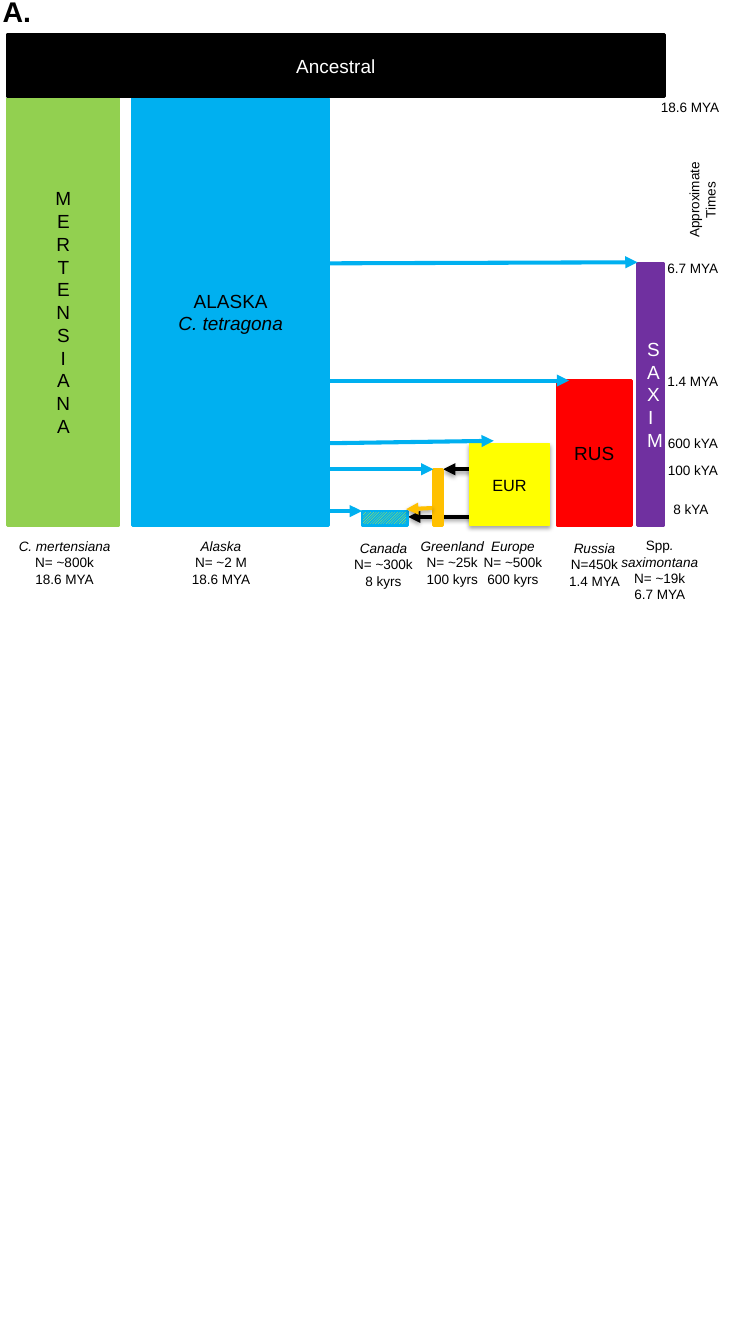
from lxml import etree
from pptx import Presentation
from pptx.dml.color import RGBColor
from pptx.enum import dml, shapes, text
from pptx.oxml.ns import qn
from pptx.util import Cm, Pt

BLACK = RGBColor(0, 0, 0)
WHITE = RGBColor(255, 255, 255)
BLUE = RGBColor(0, 176, 240)
GREEN = RGBColor(146, 208, 80)
PURPLE = RGBColor(112, 48, 160)
RED = RGBColor(255, 0, 0)
YELLOW = RGBColor(255, 255, 0)
GOLD = RGBColor(255, 192, 0)

# In texts, "*" switches italics on and off; lengths are in cm.
BASE = 13.68  # common foot of all population bars

# lines, left, top, width, colour, format
BARS = [
    (["ALASKA", "*C. tetragona"], 3.45, 2.57, 5.11, BLUE, {}),
    (["SAXIM"], 16.59, 6.86, 0.69, PURPLE, {"ink": WHITE}),
    (list("MERTENSIANA"), 0.2, 2.57, 2.9, GREEN, {}),
    (["RUS"], 14.5, 9.91, 1.93, RED, {}),
    (["EUR"], 12.22, 11.56, 2.08, YELLOW,
     {"size": 12, "edge": 0.75, "shade": True}),
    (["Ancestral"], 0.18, 0.89, 17.12, BLACK, {"ink": WHITE, "foot": 2.52}),
    ([], 9.42, 13.31, 1.19, BLUE, {"hatch": YELLOW}),
    ([], 11.28, 12.22, 0.23, GOLD, {}),
]

# start x, start y, end x, end y, colour, shadow
BACK = [
    (13.97, 12.22, 11.53, 12.22, BLACK, True),
    (13.06, 13.46, 10.62, 13.46, BLACK, True),
]
FRONT = [
    (7.82, 6.86, 16.59, 6.83, BLUE, False),
    (7.98, 9.91, 14.81, 9.91, BLUE, False),
    (5.99, 11.58, 12.85, 11.48, BLUE, False),
    (6.17, 12.22, 11.28, 12.22, BLUE, False),
    (4.29, 13.31, 9.42, 13.31, BLUE, False),
    (11.25, 13.23, 10.57, 13.26, GOLD, True),
]

# lines, centre, top, width, height
NOTES = [
    (["*C. mertensiana", "N= ~800k", "18.6 MYA"], 1.68, 13.89, 2.9, 2.31),
    (["*Alaska", "N= ~2 M", "18.6 MYA"], 5.75, 13.89, 3.89, 2.31),
    (["*Canada", "N= ~300k", "8 kyrs"], 9.98, 13.94, 2.03, 3.96),
    (["*Greenland", "N= ~25k", "100 kyrs"], 11.77, 13.89, 2.31, 3.96),
    (["*Europe", "N= ~500k", "600 kyrs"], 13.35, 13.89, 3.89, 2.31),
    (["*Russia", "N=450k", "1.4 MYA"], 15.47, 13.94, 2.44, 2.31),
    (["Spp*.", "*saximontana", "N= ~19k", "6.7 MYA"],
     17.17, 13.87, 3.15, 3.99),
]

# time, centre, top
TIMES = [
    ("18.6 MYA", 17.96, 2.44), ("6.7 MYA", 18.03, 6.65),
    ("1.4 MYA", 18.03, 9.6), ("600 kYA", 18.03, 11.2),
    ("100 kYA", 18.03, 11.91), ("8 kYA", 17.98, 12.93),
]


def write(frame, lines, size, ink=BLACK, bold=False,
          align=text.PP_ALIGN.CENTER):
    """Fill a text frame, one paragraph per line."""
    frame.word_wrap = True
    for row, line in enumerate(lines):
        para = frame.add_paragraph() if row else frame.paragraphs[0]
        para.alignment = align
        for turn, part in enumerate(line.split("*")):
            if part:
                run = para.add_run()
                run.text = part
                run.font.color.rgb = ink
                style = {"name": "Arial", "size": Pt(size),
                         "bold": bold, "italic": turn % 2 == 1}
                for key, value in style.items():
                    setattr(run.font, key, value)


def label(lines, left, top, width, height, size=10, **style):
    """Add a text box and return it."""
    box = slide.shapes.add_textbox(*map(Cm, (left, top, width, height)))
    write(box.text_frame, lines, size, **style)
    box.text_frame.auto_size = text.MSO_AUTO_SIZE.SHAPE_TO_FIT_TEXT
    return box


def effect(item, shade):
    """Replace the theme shadow by a soft one, or by none."""
    fx = etree.SubElement(item._element.spPr, qn("a:effectLst"))
    if shade:
        drop = etree.SubElement(fx, qn("a:outerShdw"), blurRad="40000",
                                dist="23000", dir="5400000", rotWithShape="0")
        tint = etree.SubElement(drop, qn("a:srgbClr"), val="000000")
        etree.SubElement(tint, qn("a:alpha"), val="35000")


def bar(lines, left, top, width, color, form):
    """Add a bar that reaches from its top down to its foot."""
    high = form.get("foot", BASE) - top
    item = slide.shapes.add_shape(shapes.MSO_SHAPE.RECTANGLE,
                                  *map(Cm, (left, top, width, high)))
    fill = item.fill
    if "hatch" in form:
        fill.patterned()
        fill.pattern = dml.MSO_PATTERN.DARK_UPWARD_DIAGONAL
        fill.fore_color.rgb = form["hatch"]
        fill.back_color.rgb = color
    else:
        fill.solid()
        fill.fore_color.rgb = color
    item.line.color.rgb = color
    item.line.width = Pt(form.get("edge", 2))
    effect(item, form.get("shade", False))
    item.text_frame.vertical_anchor = text.MSO_ANCHOR.MIDDLE
    write(item.text_frame, lines, form.get("size", 14),
          form.get("ink", BLACK))


def arrow(x1, y1, x2, y2, color, shade):
    """Add a migration arrow with its head at the end."""
    item = slide.shapes.add_connector(shapes.MSO_CONNECTOR.STRAIGHT,
                                      *map(Cm, (x1, y1, x2, y2)))
    item.line.color.rgb = color
    item.line.width = Pt(3)
    etree.SubElement(item.line._get_or_add_ln(), qn("a:tailEnd"),
                     type="triangle")
    effect(item, shade)


deck = Presentation()
deck.slide_width, deck.slide_height = Cm(19.05), Cm(35)
slide = deck.slides.add_slide(deck.slide_layouts[6])

for row in BACK:
    arrow(*row)
for row in BARS:
    bar(*row)
for row in FRONT:
    arrow(*row)
for lines, mid, top, width, height in NOTES:
    label(lines, mid - width / 2, top, width, height)
for time, mid, top in TIMES:
    label([time], mid - 1.02, top, 2.04, 0.58)
label(["A."], -0.18, -0.28, 1.37, 2.34, 21, bold=True,
      align=text.PP_ALIGN.LEFT)
label(["Approximate Times"], 16.81, 4.65, 2.95, 1.12).rotation = 270

deck.save("out.pptx")
